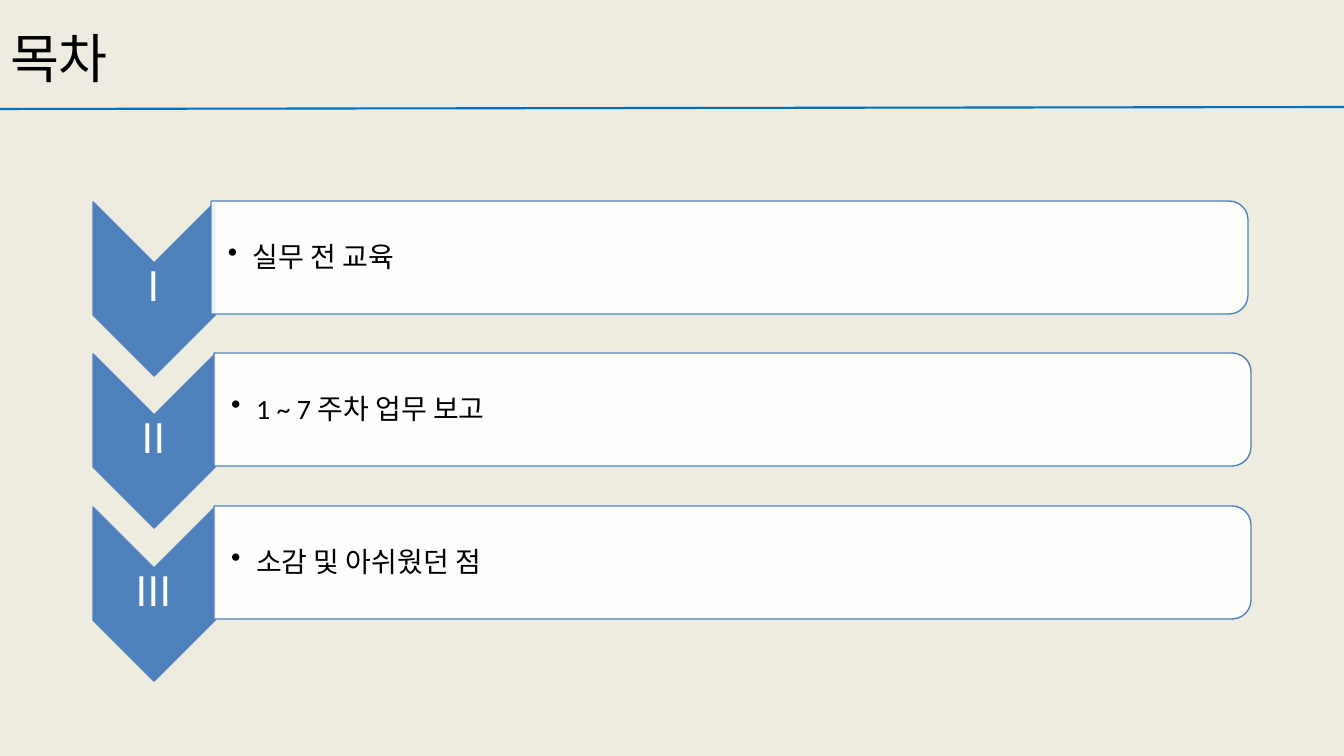
from lxml import etree
from pptx import Presentation, util as u
from pptx.dml.color import RGBColor
from pptx.enum import shapes, text
from pptx.oxml.ns import qn

COLORS = {
    "background": "EEECE1",
    "rule": "0070C0",
    "accent": "4F81BD",
    "panel": "FFFFFF",
    "light": "FFFFFF",
    "dark": "000000",
}
LATIN, KOREAN = "Calibri", "Noto Sans CJK KR"
ROWS = [
    ("Ⅰ", "실무 전 교육", 211),
    ("Ⅱ", "1 ~ 7 주차 업무 보고", 214),
    ("Ⅲ", "소감 및 아쉬웠던 점", 214),
]


def px(length):
    return u.Emu(round(length * 914400 / 100.8))


def color(name):
    return RGBColor.from_string(COLORS[name])


def write(shape, content, size, font=LATIN, ink="dark", align="LEFT", insets=(10, 5, 10, 5), bullet=False):
    frame = shape.text_frame
    frame.word_wrap = True
    frame.auto_size = text.MSO_AUTO_SIZE.NONE
    frame.vertical_anchor = text.MSO_ANCHOR.MIDDLE
    frame.margin_left, frame.margin_top, frame.margin_right, frame.margin_bottom = map(px, insets)
    paragraph = frame.paragraphs[0]
    paragraph.alignment = getattr(text.PP_ALIGN, align)
    paragraph.line_spacing = 0.9
    if bullet:
        properties = paragraph._p.get_or_add_pPr()
        properties.set("marL", str(px(25)))
        properties.set("indent", str(-px(25)))
        etree.SubElement(properties, qn("a:buChar"), char="•")
    run = paragraph.add_run()
    run.text = content
    run.font.size = u.Pt(size)
    run.font.name = font
    run.font.color.rgb = color(ink)
    etree.SubElement(run._r.get_or_add_rPr(), qn("a:ea"), typeface=KOREAN)


class AgendaSlide:
    def __init__(self, presentation):
        self.slide = presentation.slides.add_slide(presentation.slide_layouts[5])
        fill = self.slide.background.fill
        fill.solid()
        fill.fore_color.rgb = color("background")

    def title(self, content, left, top, width, height):
        shape = self.slide.shapes.title
        shape.left, shape.top, shape.width, shape.height = map(px, (left, top, width, height))
        write(shape, content, 38)

    def rule(self, *ends):
        line = self.slide.shapes.add_connector(shapes.MSO_CONNECTOR.STRAIGHT, *map(px, ends))
        line.line.color.rgb = color("rule")
        line.line.width = u.Pt(1.5)
        etree.SubElement(line._element.spPr, qn("a:effectLst"))

    def turned_shape(self, kind, left, top, width, height, fill, opacity=100):
        shift = (width - height) / 2
        box = map(px, (left + shift, top - shift, height, width))
        shape = self.slide.shapes.add_shape(kind, *box)
        shape.rotation = 90
        shape.shadow.inherit = False
        shape.fill.solid()
        shape.fill.fore_color.rgb = color(fill)
        shape.line.color.rgb = color("accent")
        shape.line.width = u.Pt(1)
        if opacity < 100:
            tone = shape._element.spPr.find(qn("a:solidFill"))[0]
            etree.SubElement(tone, qn("a:alpha"), val=str(opacity * 1000))

    def label(self, content, left, top, width, height, **style):
        box = self.slide.shapes.add_textbox(*map(px, (left, top, width, height)))
        write(box, content, **style)

    def row(self, numeral, topic, panel_left, offset):
        kinds = shapes.MSO_SHAPE
        self.turned_shape(kinds.CHEVRON, 93, 202 + offset, 122, 174, "accent")
        self.label(numeral, 93, 262 + offset, 122, 52, size=29, font=KOREAN,
                   ink="light", align="CENTER", insets=(2, 2, 2, 2))
        self.turned_shape(kinds.ROUND_2_SAME_RECTANGLE, panel_left, 201 + offset, 1037, 113, "panel", 90)
        self.label(topic, panel_left + 1, 207 + offset, 1032, 102, size=20,
                   insets=(16, 1, 1, 1), bullet=True)


def main():
    presentation = Presentation()
    presentation.slide_width, presentation.slide_height = px(1344), px(756)
    agenda = AgendaSlide(presentation)
    agenda.rule(0, 109, 1344, 107)
    agenda.title("목차", 0, -12, 1159, 146)
    for index, (numeral, topic, panel_left) in enumerate(ROWS):
        agenda.row(numeral, topic, panel_left, index * 305 // 2)
    presentation.save("out.pptx")


if __name__ == "__main__":
    main()
